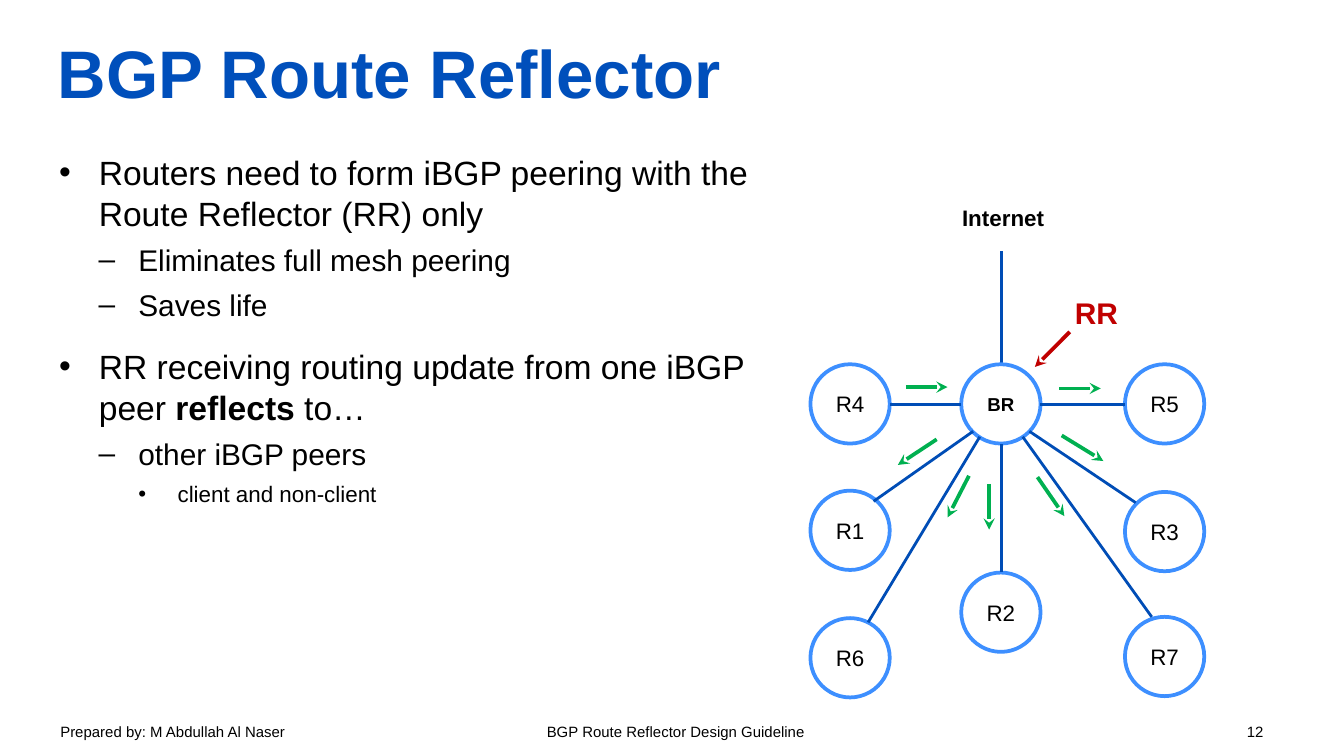
from lxml.etree import SubElement
from pptx import Presentation
from pptx.dml.color import RGBColor
from pptx.enum.shapes import MSO_CONNECTOR as Connector, MSO_SHAPE as Shape
from pptx.enum.text import MSO_ANCHOR as Anchor, PP_ALIGN as Align
from pptx.oxml.ns import qn
from pptx.util import Pt

COLORS = {
    "title": "004FBB", "text": "000000", "link": "004DB6",
    "ring": "3D8FFF", "reflector": "C00000", "update": "00B050",
}
RADIUS = 21.25

# Indent and bullet per outline level
LEVELS = [
    {"size": 18, "margin": 21.3, "hang": 21.3, "before": 12, "bullet": "•"},
    {"size": 16, "margin": 42.5, "hang": 21.3, "before": 4, "bullet": "–"},
    {"size": 12, "margin": 63.5, "hang": 21, "before": 4, "bullet": "•"},
]
OUTLINE = [
    (0, ["Routers need to form iBGP peering with the Route Reflector (RR) only"]),
    (1, ["Eliminates full mesh peering"]),
    (1, ["Saves life"]),
    (0, ["RR receiving routing update from one iBGP peer ", "reflects", " to…"]),
    (1, ["other iBGP peers"]),
    (2, ["client and non-client"]),
]

# Router name, centre, and the ends of its link to BR, relative to the diagram
ROUTERS = [
    ("R1", (21.4, 178.1), (34, 162.6), (87.3, 125.1)),
    ("R2", (102.2, 222), (102.4, 200.7), (102.4, 131.6)),
    ("R3", (189.9, 178.8), (174.4, 163.3), (117.5, 125.1)),
    ("R4", (21.4, 110.4), (42.6, 110.7), (80.8, 110.7)),
    ("R5", (189.9, 110.4), (168.6, 110.7), (123.3, 110.7)),
    ("R6", (21.4, 246.4), (31.1, 227.4), (90.9, 128)),
    ("R7", (189.9, 245.7), (183, 224.5), (113.9, 128)),
]
UPDATES = [
    ((51.3, 101.4), (73.6, 101.4)),
    ((133.4, 102.1), (155.7, 102.1)),
    ((134.8, 127.3), (157.1, 141)),
    ((95.9, 153.2), (95.9, 177.7)),
    ((121.8, 149.6), (136.2, 170.5)),
    ((85.1, 148.9), (73.6, 171.2)),
    ((67.8, 129.4), (47, 143.1)),
]


def rgb(name):
    return RGBColor.from_string(COLORS[name])


def add_run(paragraph, text, size=12, color="text", bold=False):
    run = paragraph.add_run()
    run.text = text
    run.font.name = "Arial"
    run.font.size = Pt(size)
    run.font.bold = bold
    run.font.color.rgb = rgb(color)


def add_text(slide, text, left, top, width, height, inset=(7.2, 3.6),
             anchor=Anchor.TOP, wrap=True, **font):
    box = slide.shapes.add_textbox(Pt(left), Pt(top), Pt(width), Pt(height))
    frame = box.text_frame
    frame.word_wrap = wrap
    frame.vertical_anchor = anchor
    frame.margin_left = frame.margin_right = Pt(inset[0])
    frame.margin_top = frame.margin_bottom = Pt(inset[1])
    if text:
        add_run(frame.paragraphs[0], text, **font)
    return frame


def add_line(slide, start, end, color="link", width=1.5, arrow=False):
    line = slide.shapes.add_connector(
        Connector.STRAIGHT, *(Pt(value) for value in (*start, *end)))
    line.line.color.rgb = rgb(color)
    line.line.width = Pt(width)
    if arrow:
        SubElement(line.line._get_or_add_ln(), qn("a:tailEnd"), type="stealth")
    SubElement(line._element.spPr, qn("a:effectLst"))


def add_router(slide, name, center, **font):
    x, y = center
    router = slide.shapes.add_shape(
        Shape.OVAL, Pt(x - RADIUS), Pt(y - RADIUS), Pt(2 * RADIUS), Pt(2 * RADIUS))
    router.shadow.inherit = False
    router.fill.background()
    router.line.color.rgb = rgb("ring")
    router.line.width = Pt(2)
    frame = router.text_frame
    frame.margin_left = frame.margin_right = 0
    frame.vertical_anchor = Anchor.MIDDLE
    paragraph = frame.paragraphs[0]
    paragraph.alignment = Align.CENTER
    add_run(paragraph, name, **font)


def add_outline(slide, left, top, width, height):
    frame = add_text(slide, "", left, top, width, height, inset=(0, 0))
    for index, (level, texts) in enumerate(OUTLINE):
        style = LEVELS[level]
        paragraph = frame.add_paragraph() if index else frame.paragraphs[0]
        paragraph.level = level
        paragraph.line_spacing = 1.03
        if index:
            paragraph.space_before = Pt(style["before"])
        properties = paragraph._p.get_or_add_pPr()
        properties.set("marL", str(Pt(style["margin"])))
        properties.set("indent", str(-Pt(style["hang"])))
        SubElement(properties, qn("a:buFont"), typeface="Arial")
        SubElement(properties, qn("a:buChar"), char=style["bullet"])
        for text in texts:
            add_run(paragraph, text, size=style["size"], bold=text == "reflects")


def add_diagram(slide, left, top):
    def place(point):
        return left + point[0], top + point[1]

    add_text(slide, "Internet", *place((74.3, 0)), 59, 21.6, wrap=False, bold=True)
    add_text(slide, "RR", *place((134.8, 48.1)), 37.4, 26.6, wrap=False,
             size=16, color="reflector", bold=True)
    add_line(slide, place((102.4, 28.6)), place((102.4, 89.1)))
    add_router(slide, "BR", place((102.2, 110.4)), size=10, bold=True)
    for name, center, start, end in ROUTERS:
        add_router(slide, name, place(center))
        add_line(slide, place(start), place(end))
    add_line(slide, place((139.1, 71.8)), place((120.4, 90.6)),
             color="reflector", width=2, arrow=True)
    for start, end in UPDATES:
        add_line(slide, place(start), place(end), color="update", width=2, arrow=True)


def add_footer(slide, left, top, width, height):
    """Place author, talk title and page number on one line with tab stops."""
    frame = add_text(slide, "", left, top, width, height)
    paragraph = frame.paragraphs[0]
    tabs = SubElement(paragraph._p.get_or_add_pPr(), qn("a:tabLst"))
    for position, alignment in ((329.8, "ctr"), (644.6, "r")):
        SubElement(tabs, qn("a:tab"), pos=str(Pt(position)), algn=alignment)
    add_run(paragraph, "Prepared by: M Abdullah Al Naser"
            "\tBGP Route Reflector Design Guideline\t12", size=8)


def main():
    presentation = Presentation()
    presentation.slide_width, presentation.slide_height = Pt(720), Pt(405)
    slide = presentation.slides.add_slide(presentation.slide_layouts[6])
    add_footer(slide, 25.2, 383.8, 671, 18)
    add_text(slide, "BGP Route Reflector", 31, 4.3, 657.4, 67.7, inset=(0, 0),
             anchor=Anchor.MIDDLE, size=36, color="title", bold=True)
    add_outline(slide, 31.7, 80.6, 377.3, 297.4)
    add_diagram(slide, 434, 106)
    presentation.save("out.pptx")


if __name__ == "__main__":
    main()
